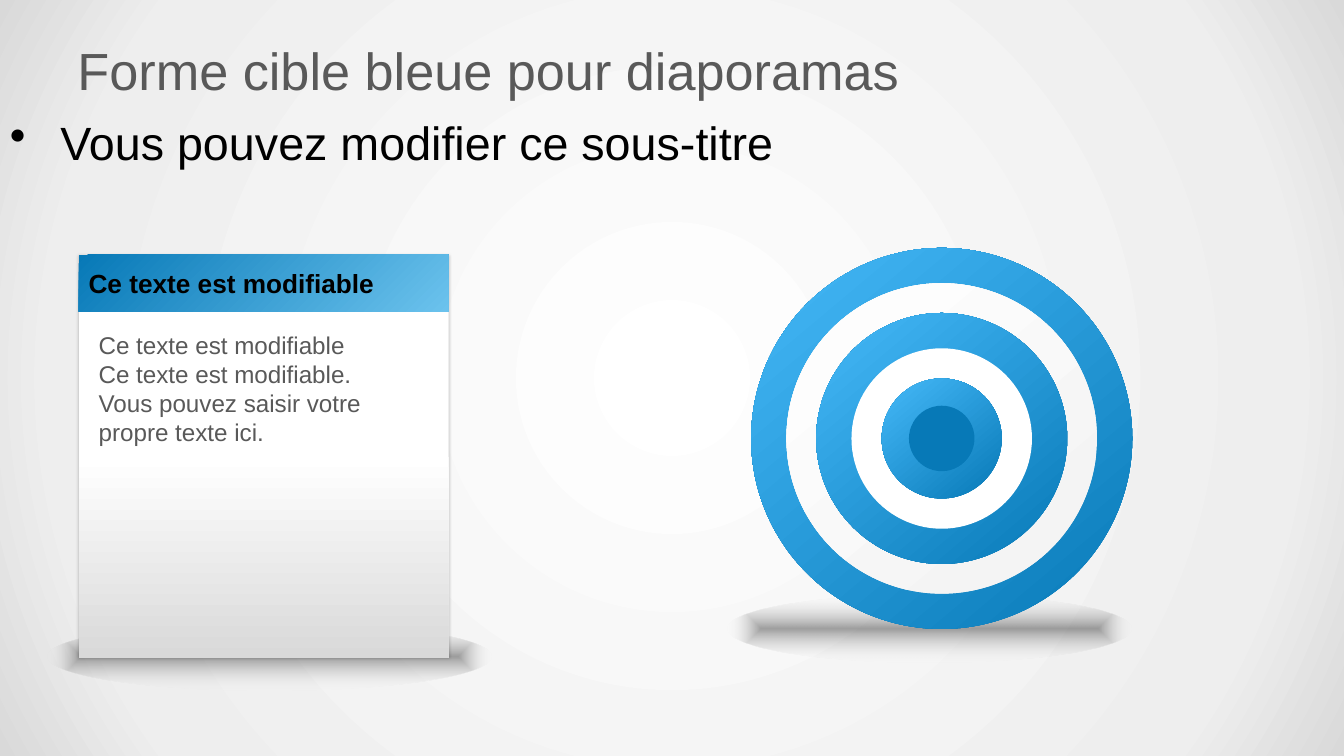
import lxml.etree
import pptx
import pptx.dml.color
import pptx.enum.shapes
import pptx.enum.text
import pptx.oxml
import pptx.oxml.ns
import pptx.util

Inches = pptx.util.Inches
Shapes = pptx.enum.shapes.MSO_SHAPE
Anchor = pptx.enum.text.MSO_ANCHOR
DRAWING = pptx.oxml.ns.nsdecls("a")

COLORS = {
    "blue": "0779B7", "sky": "46B9F8", "pale_blue": "6BC2ED",
    "white": "FFFFFF", "mist": "F2F2F2", "light": "EEEEEE",
    "silver": "D9D9D9", "gray": "595959", "ink": "0D0D0D", "black": "000000",
}
CENTERED = '<a:path path="{}"><a:fillToRect l="50000" t="50000" r="50000" b="50000"/></a:path>'


class SlideBuilder:
    font_name = "Arial"

    def __init__(self, presentation):
        self.slide = presentation.slides.add_slide(presentation.slide_layouts[6])

    def group(self):
        return self.slide.shapes.add_group_shape().shapes

    def gradient(self, stops, angle=None, center="shape"):
        stop_xml = "".join(
            f'<a:gs pos="{position * 1000}"><a:srgbClr val="{COLORS[color]}">'
            f'<a:alpha val="{alpha * 1000}"/></a:srgbClr></a:gs>'
            for position, color, alpha in stops
        )
        if angle is None:
            direction = CENTERED.format(center)
        else:
            direction = f'<a:lin ang="{angle * 60000}" scaled="0"/>'
        return pptx.oxml.parse_xml(
            f'<a:gradFill {DRAWING} rotWithShape="1"><a:gsLst>{stop_xml}</a:gsLst>{direction}</a:gradFill>'
        )

    def background(self, stops):
        self.slide.background.fill.solid()
        solid = self.slide.element.xpath(".//p:bgPr/a:solidFill")[0]
        solid.getparent().replace(solid, self.gradient(stops, center="circle"))

    def shape(self, parent, kind, box, fill, angle=None):
        shape = parent.add_shape(kind, *map(Inches, box))
        shape.shadow.inherit = False
        shape.line.fill.background()
        shape.fill.solid()
        if isinstance(fill, str):
            shape.fill.fore_color.rgb = pptx.dml.color.RGBColor.from_string(COLORS[fill])
        else:
            solid = shape.element.spPr.find(pptx.oxml.ns.qn("a:solidFill"))
            shape.element.spPr.replace(solid, self.gradient(fill, angle))
        return shape

    def soft_shadow(self, shape):
        effects = shape.element.spPr.find(pptx.oxml.ns.qn("a:effectLst"))
        effects.append(pptx.oxml.parse_xml(
            f'<a:outerShdw {DRAWING} blurRad="25400" dist="0" dir="2700000" algn="tl" rotWithShape="0">'
            f'<a:srgbClr val="{COLORS["black"]}"><a:alpha val="20000"/></a:srgbClr></a:outerShdw>'
        ))

    def floor_shadow(self, box):
        stops = [(0, "ink", 38), (100, "white", 0)]
        self.shape(self.slide.shapes, Shapes.OVAL, box, stops)

    def label(self, shape, text, size, color, bold=False, anchor=Anchor.TOP, bullet=False):
        frame = shape.text_frame
        frame.word_wrap = True
        frame.vertical_anchor = anchor
        paragraph = frame.paragraphs[0]
        paragraph.text = text
        paragraph.alignment = pptx.enum.text.PP_ALIGN.LEFT
        if bullet:
            properties = paragraph._p.get_or_add_pPr()
            properties.set("marL", str(Inches(0.5)))
            properties.set("indent", str(-Inches(0.5)))
            marker = lxml.etree.SubElement(properties, pptx.oxml.ns.qn("a:buChar"))
            marker.set("char", "•")
        for run in paragraph.runs:
            formats = {"name": self.font_name, "size": pptx.util.Pt(size), "bold": bold}
            for name, value in formats.items():
                setattr(run.font, name, value)
            run.font.color.rgb = pptx.dml.color.RGBColor.from_string(COLORS[color])

    def text(self, parent, box, text, size, color, **options):
        self.label(parent.add_textbox(*map(Inches, box)), text, size, color, **options)


def add_target(builder):
    center_x, center_y = 9.34, 4.35
    blue = [(0, "blue", 100), (100, "sky", 100)]
    pale = [(0, "mist", 100), (100, "white", 100)]
    rings = [(3.78, blue), (3.08, pale), (2.49, blue), (1.79, "white"), (1.19, blue), (0.65, "blue")]
    target = builder.group()
    for diameter, fill in rings:
        box = (center_x - diameter / 2, center_y - diameter / 2, diameter, diameter)
        builder.shape(target, Shapes.OVAL, box, fill, 230)


def add_card(builder):
    left, top, width = 0.78, 2.53, 3.67
    card = builder.group()
    panel = builder.shape(
        card, Shapes.RECTANGLE, (left, top, width, 4),
        [(0, "white", 100), (50, "white", 100), (100, "silver", 100)], 90,
    )
    builder.soft_shadow(panel)
    header = builder.shape(
        card, Shapes.RECTANGLE, (left, top, width, 0.56),
        [(0, "blue", 100), (100, "pale_blue", 100)], 45,
    )
    builder.label(header, "Ce texte est modifiable", 18.7, "black", bold=True, anchor=Anchor.MIDDLE)
    builder.text(
        card, (left + 0.1, 3.23, 3.32, 1.12),
        "Ce texte est modifiable\vCe texte est modifiable.\vVous pouvez saisir votre propre texte ici.",
        17.3, "gray",
    )


def main():
    presentation = pptx.Presentation()
    presentation.slide_width = Inches(13.33)
    presentation.slide_height = Inches(7.5)
    builder = SlideBuilder(presentation)
    builder.background([(0, "white", 100), (81, "light", 100), (100, "silver", 100)])
    shapes = builder.slide.shapes
    builder.floor_shadow((0.47, 6.18, 4.4, 0.67))
    builder.text(
        shapes, (0.67, 0.3, 12, 0.78), "Forme cible bleue pour diaporamas",
        37.3, "gray", anchor=Anchor.MIDDLE,
    )
    builder.text(
        shapes, (0, 1.08, 12, 0.56), "Vous pouvez modifier ce sous-titre",
        33.3, "black", bullet=True,
    )
    builder.floor_shadow((7.22, 5.9, 4, 0.67))
    add_target(builder)
    add_card(builder)
    presentation.save("out.pptx")


if __name__ == "__main__":
    main()
